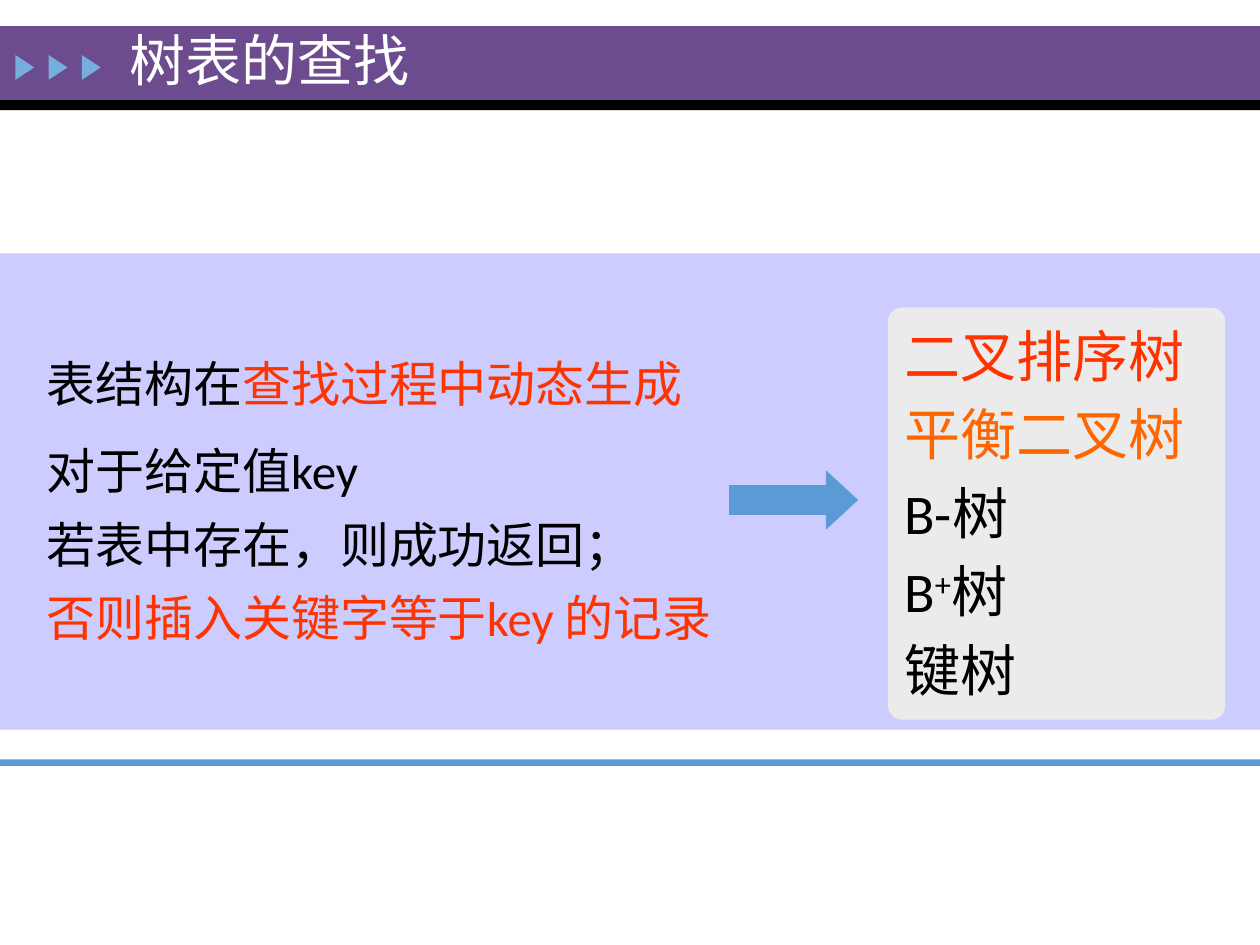
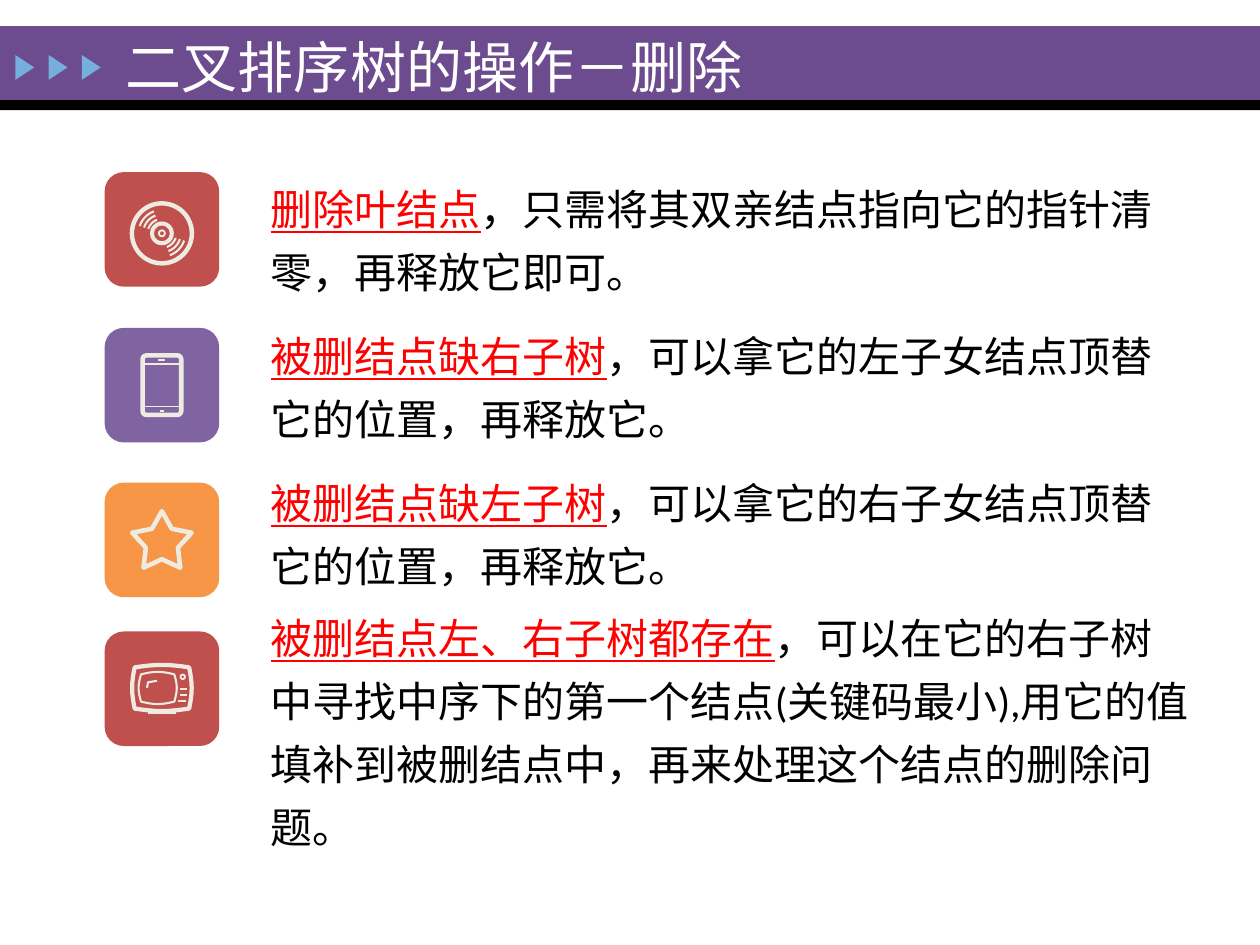
from dataclasses import dataclass
from math import cos, pi, radians, sin

from lxml.etree import SubElement
from pptx import Presentation
from pptx.dml.color import RGBColor
from pptx.enum.shapes import MSO_CONNECTOR, MSO_SHAPE
from pptx.enum.text import MSO_ANCHOR
from pptx.oxml.ns import qn
from pptx.util import Cm, Pt


@dataclass(frozen=True)
class Theme:
    font: str = "Calibri"
    title_size: int = 32
    list_size: int = 32
    text_size: int = 28
    body_size: int = 24
    white: str = "FFFFFF"
    black: str = "000000"
    purple: str = "6C4C8F"
    sky: str = "76AEDD"
    blue: str = "5B9BD5"
    lavender: str = "CCCCFF"
    grey: str = "EBEBEB"
    vermilion: str = "FF3300"
    orange: str = "FF6600"
    red: str = "FF0000"
    cream: str = "EEECE1"
    tile_red: str = "C0504D"
    tile_purple: str = "8064A2"
    tile_orange: str = "F79646"


THEME = Theme()
SLIDE_WIDTH = 25.4
SLIDE_HEIGHT = 19.05
TILE_LEFT = 2.11
TILE_SIZE = 2.31


# Basic elements
def add_filled(slide, kind, left, top, width, height, color, adjustments=()):
    shape = slide.shapes.add_shape(kind, Cm(left), Cm(top), Cm(width), Cm(height))
    shape.shadow.inherit = False
    shape.fill.solid()
    shape.fill.fore_color.rgb = RGBColor.from_string(color)
    shape.line.fill.background()
    for index, value in enumerate(adjustments):
        shape.adjustments[index] = value
    return shape


def set_outline(line, points):
    line.color.rgb = RGBColor.from_string(THEME.cream)
    line.width = Pt(points)


def fill_text(frame, paragraphs, size, line_spacing=None, gaps=()):
    """Each paragraph is a list of (text, color, extras) runs."""
    frame.word_wrap = True
    for index, runs in enumerate(paragraphs):
        paragraph = frame.paragraphs[0] if index == 0 else frame.add_paragraph()
        if line_spacing:
            paragraph.line_spacing = line_spacing
        if index and gaps:
            paragraph.space_before = Pt(gaps[index - 1])
        for text, color, *extras in runs:
            run = paragraph.add_run()
            run.text = text
            run.font.name = THEME.font
            run.font.size = Pt(size)
            run.font.color.rgb = RGBColor.from_string(color)
            if "underline" in extras:
                run.font.underline = True
            if "superscript" in extras:
                run._r.get_or_add_rPr().set("baseline", "30000")


def add_text(slide, left, top, width, height, paragraphs, size, **spacing):
    box = slide.shapes.add_textbox(Cm(left), Cm(top), Cm(width), Cm(height))
    fill_text(box.text_frame, paragraphs, size, **spacing)
    return box


# Header shared by the slides
def add_header(slide, title, left, top):
    add_filled(slide, MSO_SHAPE.RECTANGLE, 0, 0.53, SLIDE_WIDTH, 1.5, THEME.purple)
    add_filled(slide, MSO_SHAPE.RECTANGLE, 0, 2.02, SLIDE_WIDTH, 0.2, THEME.black)
    for index in range(3):
        marker = add_filled(slide, MSO_SHAPE.ISOSCELES_TRIANGLE,
                            0.25 + 0.67 * index, 1.17, 0.5, 0.38, THEME.sky)
        marker.rotation = 90
    box = add_text(slide, left, top, 17.5, 1.65,
                   [[(title, THEME.white)]], THEME.title_size)
    box.text_frame.vertical_anchor = MSO_ANCHOR.MIDDLE


# Icon strokes, placed in centimetres around an icon centre
class IconPen:
    def __init__(self, slide, x, y):
        self.slide, self.x, self.y = slide, x, y

    def ring(self, x, y, diameter, thickness):
        add_filled(self.slide, MSO_SHAPE.DONUT, self.x + x - diameter / 2,
                   self.y + y - diameter / 2, diameter, diameter,
                   THEME.cream, [thickness / diameter])

    def line(self, x1, x2, y, points):
        line = self.slide.shapes.add_connector(
            MSO_CONNECTOR.STRAIGHT, Cm(self.x + x1), Cm(self.y + y),
            Cm(self.x + x2), Cm(self.y + y))
        set_outline(line.line, points)
        SubElement(line._element.spPr, qn("a:effectLst"))

    def outline(self, vertices, points, close=True):
        placed = [(Cm(self.x + x), Cm(self.y + y)) for x, y in vertices]
        builder = self.slide.shapes.build_freeform(*placed[0])
        builder.add_line_segments(placed[1:], close=close)
        shape = builder.convert_to_shape()
        shape.shadow.inherit = False
        shape.fill.background()
        set_outline(shape.line, points)


def polar(radius, degrees):
    return radius * cos(radians(degrees)), radius * sin(radians(degrees))


def bulged_frame(left, top, right, bottom, bulge, steps=8):
    corners = [(left, top), (right, top), (right, bottom), (left, bottom)]
    outward = [(0, -1), (1, 0), (0, 1), (-1, 0)]
    vertices = []
    for side, (x1, y1) in enumerate(corners):
        x2, y2 = corners[(side + 1) % 4]
        for step in range(steps):
            part = step / steps
            push = bulge * sin(pi * part)
            vertices.append((x1 + (x2 - x1) * part + outward[side][0] * push,
                             y1 + (y2 - y1) * part + outward[side][1] * push))
    return vertices


def draw_disc(pen):
    for diameter, thickness in ((1.3, 0.09), (0.48, 0.08), (0.16, 0.04)):
        pen.ring(0, 0.08, diameter, thickness)
    for start in (18, 198):
        for radius in (0.29, 0.38, 0.47):
            arc = [polar(radius, start + step) for step in range(0, 53, 4)]
            pen.outline([(x, y + 0.08) for x, y in arc], 1.2, close=False)


def draw_phone(pen):
    body = add_filled(pen.slide, MSO_SHAPE.ROUNDED_RECTANGLE, pen.x - 0.39,
                      pen.y - 0.6, 0.78, 1.2, THEME.cream, [0.1])
    body.fill.background()
    set_outline(body.line, 2.6)
    for half_width, y in ((0.36, -0.42), (0.36, 0.43), (0.07, -0.5), (0.04, 0.52)):
        pen.line(-half_width, half_width, y, 1.1)


def draw_star(pen):
    tips = [polar(0.34 if index % 2 else 0.63, index * 36 - 90) for index in range(10)]
    pen.outline([(x, y + 0.05) for x, y in tips], 2.6)


def draw_television(pen):
    pen.outline(bulged_frame(-0.55, -0.43, 0.55, 0.4, 0.05), 2.4)
    pen.outline(bulged_frame(-0.42, -0.29, 0.25, 0.26, 0.05), 1.2)
    pen.outline([(-0.3, -0.02), (-0.28, -0.13), (-0.1, -0.16)], 1.2, close=False)
    pen.ring(0.42, -0.24, 0.13, 0.04)
    for left, y in ((0.36, 0.01), (0.36, 0.12), (0.33, 0.25)):
        pen.line(left, left + 0.15, y, 1.2)
    pen.line(-0.28, 0.28, 0.47, 2)


def add_icon_tile(slide, top, color, draw):
    add_filled(slide, MSO_SHAPE.ROUNDED_RECTANGLE, TILE_LEFT, top,
               TILE_SIZE, TILE_SIZE, color)
    draw(IconPen(slide, TILE_LEFT + TILE_SIZE / 2, top + TILE_SIZE / 2))


# Slides
def build_search_slide(slide):
    add_header(slide, "树表的查找", 2.37, 0.36)
    add_filled(slide, MSO_SHAPE.RECTANGLE, 0, 5.11, SLIDE_WIDTH, 9.6, THEME.lavender)
    add_filled(slide, MSO_SHAPE.RECTANGLE, 0, 15.31, SLIDE_WIDTH, 0.13, THEME.blue)

    # Search rule
    add_text(slide, 0.69, 6.71, 14.45, 1.75,
             [[("表结构在", THEME.black), ("查找过程中动态生成", THEME.vermilion)]],
             THEME.text_size, line_spacing=1.25)
    add_text(slide, 0.69, 8.46, 14.45, 4.75,
             [[("对于给定值key", THEME.black)],
              [("若表中存在，则成功返回；", THEME.black)],
              [("否则插入关键字等于key 的记录", THEME.vermilion)]],
             THEME.text_size, line_spacing=1.25)

    # Kinds of tree
    panel = add_filled(slide, MSO_SHAPE.ROUNDED_RECTANGLE, 17.9, 6.2, 6.8, 8.31,
                       THEME.grey, [0.042])
    panel.text_frame.vertical_anchor = MSO_ANCHOR.TOP
    panel.text_frame.margin_top = Cm(0.2)
    fill_text(panel.text_frame,
              [[("二叉排序树", THEME.vermilion)],
               [("平衡二叉树", THEME.orange)],
               [("B-树", THEME.black)],
               [("B", THEME.black), ("+", THEME.black, "superscript"),
                ("树", THEME.black)],
               [("键树", THEME.black)]],
              THEME.list_size, gaps=[6.4] * 4)
    for paragraph in panel.text_frame.paragraphs:
        paragraph.alignment = 1
    add_filled(slide, MSO_SHAPE.RIGHT_ARROW, 14.7, 9.48, 2.6, 1.2, THEME.blue,
               [0.5, 0.541])


def build_deletion_slide(slide):
    add_header(slide, "二叉排序树的操作－删除", 2.29, 0.5)

    # Deletion cases
    cases = [
        ("删除叶结点", "，只需将其双亲结点指向它的指针清零，再释放它即可。"),
        ("被删结点缺右子树", "，可以拿它的左子女结点顶替它的位置，再释放它。"),
        ("被删结点缺左子树", "，可以拿它的右子女结点顶替它的位置，再释放它。"),
        ("被删结点左、右子树都存在",
         "，可以在它的右子树中寻找中序下的第一个结点(关键码最小),"
         "用它的值填补到被删结点中，再来处理这个结点的删除问题。"),
    ]
    add_text(slide, 5.21, 3.33, 19.1, 14.3,
             [[(case, THEME.red, "underline"), (action, THEME.black)]
              for case, action in cases],
             THEME.body_size, line_spacing=1.25, gaps=[12, 12, 5])

    # Icon column
    for top, color, draw in (
            (3.47, THEME.tile_red, draw_disc),
            (6.61, THEME.tile_purple, draw_phone),
            (9.73, THEME.tile_orange, draw_star),
            (12.73, THEME.tile_red, draw_television)):
        add_icon_tile(slide, top, color, draw)


def main():
    presentation = Presentation()
    presentation.slide_width = Cm(SLIDE_WIDTH)
    presentation.slide_height = Cm(SLIDE_HEIGHT)
    for build in (build_search_slide, build_deletion_slide):
        build(presentation.slides.add_slide(presentation.slide_layouts[6]))
    presentation.save("out.pptx")


if __name__ == "__main__":
    main()
